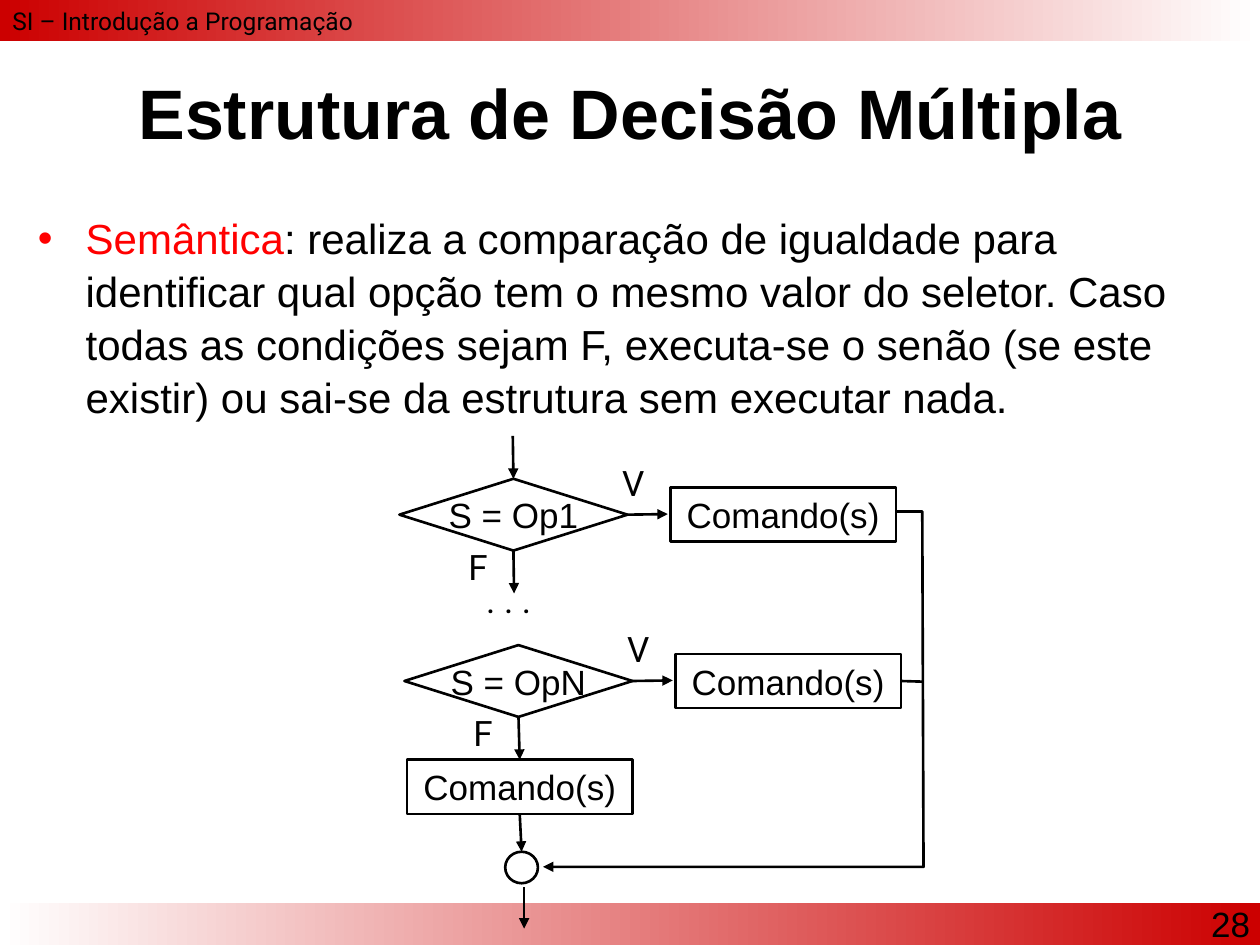
import dataclasses

import lxml.etree
import pptx
import pptx.dml.color
import pptx.enum.shapes
import pptx.enum.text
import pptx.oxml.ns
import pptx.util

Inches = pptx.util.Inches
Pt = pptx.util.Pt
RGB = pptx.dml.color.RGBColor.from_string
Shapes = pptx.enum.shapes.MSO_SHAPE
Align = pptx.enum.text.PP_ALIGN
Anchor = pptx.enum.text.MSO_ANCHOR
qn = pptx.oxml.ns.qn


@dataclasses.dataclass(frozen=True)
class Theme:
    ink: str = "000000"
    paper: str = "FFFFFF"
    accent: str = "FF0000"
    band: str = "CC0000"
    font: str = "Arial"
    label_font: str = "Roboto"
    title: float = 40
    body: float = 24
    diagram: float = 20
    header: float = 14
    line: float = 1.5


@dataclasses.dataclass(frozen=True)
class Box:
    left: float
    top: float
    width: float
    height: float

    def lengths(self):
        return [Inches(value) for value in dataclasses.astuple(self)]

    def inner(self, x, y, width, height):
        return Box(self.left + x, self.top + y, width, height)

    def point(self, x, y):
        return Inches(self.left + x), Inches(self.top + y)


THEME = Theme()


def apply(target, values):
    for name, value in values.items():
        setattr(target, name, value)


def place(shape, box):
    apply(shape, dict(zip(("left", "top", "width", "height"), box.lengths())))


def add_run(paragraph, text, size, font=THEME.font, color=THEME.ink, bold=False):
    run = paragraph.add_run()
    run.text = text
    apply(run.font, {"size": Pt(size), "name": font, "bold": bold})
    run.font.color.rgb = RGB(color)


def add_text(slide, box, text, size, font=THEME.font, align=Align.LEFT, wrap=True):
    shape = slide.shapes.add_textbox(*box.lengths())
    shape.text_frame.word_wrap = wrap
    paragraph = shape.text_frame.paragraphs[0]
    paragraph.alignment = align
    add_run(paragraph, text, size, font)


def set_outline(shape):
    shape.line.color.rgb = RGB(THEME.ink)
    shape.line.width = Pt(THEME.line)


def add_arrowhead(shape):
    line = shape.element.spPr.find(qn("a:ln"))
    lxml.etree.SubElement(line, qn("a:tailEnd"), type="triangle")


def add_node(slide, kind, box, text=""):
    shape = slide.shapes.add_shape(kind, *box.lengths())
    shape.shadow.inherit = False
    shape.fill.solid()
    shape.fill.fore_color.rgb = RGB(THEME.paper)
    set_outline(shape)
    if text:
        frame = shape.text_frame
        apply(frame, {"word_wrap": False, "vertical_anchor": Anchor.MIDDLE,
                      "margin_left": 0, "margin_right": 0,
                      "margin_top": 0, "margin_bottom": 0})
        frame.paragraphs[0].alignment = Align.CENTER
        add_run(frame.paragraphs[0], text, THEME.diagram)
    return shape


def add_link(slide, start, end, source=None, target=None, arrow=True):
    """Source and target are (shape, side) pairs that the line is joined to."""
    connector = slide.shapes.add_connector(
        pptx.enum.shapes.MSO_CONNECTOR.STRAIGHT, *start, *end)
    if source:
        connector.begin_connect(*source)
    if target:
        connector.end_connect(*target)
    set_outline(connector)
    if arrow:
        add_arrowhead(connector)
    lxml.etree.SubElement(connector.element.spPr, qn("a:effectLst"))


def add_band(slide, box, colors):
    band = slide.shapes.add_shape(Shapes.RECTANGLE, *box.lengths())
    band.shadow.inherit = False
    band.line.fill.background()
    band.fill.gradient()
    band.fill.gradient_angle = 0
    for stop, color in zip(band.fill.gradient_stops, colors):
        stop.color.rgb = RGB(color)


def add_header(slide, box):
    add_band(slide, box, (THEME.band, THEME.paper))
    add_text(slide, box.inner(0, 0, box.width, 0.5),
             "SI – Introdução a Programação", THEME.header, THEME.label_font)


def add_footer(slide, box):
    add_band(slide, box, (THEME.paper, THEME.band))
    add_text(slide, box.inner(8.67, -0.06, 1.35, 0.5), "28",
             THEME.diagram, align=Align.RIGHT)


def fill_title(slide, box):
    title = slide.shapes.title
    place(title, box)
    apply(title.text_frame, {"vertical_anchor": Anchor.MIDDLE,
                             "auto_size": pptx.enum.text.MSO_AUTO_SIZE.NONE})
    paragraph = title.text_frame.paragraphs[0]
    paragraph.alignment = Align.CENTER
    add_run(paragraph, "Estrutura de Decisão Múltipla", THEME.title, bold=True)


def fill_body(slide, box):
    body = slide.placeholders[1]
    place(body, box)
    body.text_frame.auto_size = pptx.enum.text.MSO_AUTO_SIZE.NONE
    paragraph = body.text_frame.paragraphs[0]
    apply(paragraph, {"space_before": Pt(4.8), "line_spacing": 1.05})
    add_run(paragraph, "Semântica", THEME.body, color=THEME.accent)
    add_run(paragraph, ": realiza a comparação de igualdade para identificar qual "
            "opção tem o mesmo valor do seletor. Caso todas as condições sejam F, "
            "executa-se o senão (se este existir) ou sai-se da estrutura sem "
            "executar nada.", THEME.body)
    # Hanging bullet
    properties = paragraph._p.get_or_add_pPr()
    properties.set("marL", str(Inches(0.38)))
    properties.set("indent", str(-Inches(0.38)))
    lxml.etree.SubElement(properties, qn("a:buChar"), char="•")


def add_test(slide, box, condition):
    """One decision with its command on the true branch."""
    decision = add_node(slide, Shapes.FLOWCHART_DECISION,
                        box.inner(0, 0, 1.81, 0.57), condition)
    command = add_node(slide, Shapes.FLOWCHART_PROCESS,
                       box.inner(2.15, 0.07, 1.79, 0.43), "Comando(s)")
    add_link(slide, box.point(1.81, 0.28), box.point(2.13, 0.28), (decision, 3))
    for text, x, y in (("V", 1.67, -0.19), ("F", 0.45, 0.48)):
        add_text(slide, box.inner(x, y, 0.36, 0.44), text,
                 THEME.diagram, THEME.label_font, wrap=False)
    return decision, command


def add_flowchart(slide, box):
    # Return line from the commands to the exit
    builder = slide.shapes.build_freeform(*box.point(3.94, 0.6))
    builder.add_line_segments(
        [box.point(4.15, 0.6), box.point(4.16, 3.42), box.point(1.14, 3.42)],
        close=False)
    exit_line = builder.convert_to_shape()
    exit_line.shadow.inherit = False
    exit_line.fill.background()
    set_outline(exit_line)
    add_arrowhead(exit_line)

    # Tests
    first, _ = add_test(slide, box.inner(0, 0.34, 3.94, 0.57), "S = Op1")
    last, last_command = add_test(slide, box.inner(0.04, 1.66, 3.94, 0.57), "S = OpN")
    add_link(slide, box.point(0.9, 0), box.point(0.9, 0.33), target=(first, 0))
    add_link(slide, box.point(0.9, 0.91), box.point(0.91, 1.25), (first, 2))
    add_text(slide, box.inner(0.59, 1.08, 0.72, 0.44), ". . .",
             THEME.diagram, THEME.label_font, wrap=False)
    add_link(slide, box.point(3.98, 1.95), box.point(4.15, 1.95),
             (last_command, 3), arrow=False)

    # Default command and exit
    default = add_node(slide, Shapes.FLOWCHART_PROCESS,
                       box.inner(0.06, 2.57, 1.79, 0.43), "Comando(s)")
    add_node(slide, Shapes.FLOWCHART_CONNECTOR, box.inner(0.84, 3.3, 0.26, 0.25))
    add_link(slide, box.point(0.95, 2.23), box.point(0.95, 2.57),
             (last, 2), (default, 0))
    add_link(slide, box.point(0.96, 3), box.point(0.97, 3.3), (default, 2))
    add_link(slide, box.point(0.99, 3.58), box.point(0.99, 3.91))


def main():
    presentation = pptx.Presentation()
    apply(presentation, {"slide_width": Inches(10), "slide_height": Inches(7.5)})
    slide = presentation.slides.add_slide(presentation.slide_layouts[1])
    add_footer(slide, Box(0, 7.17, 10, 0.33))
    add_header(slide, Box(0, 0, 10, 0.33))
    fill_title(slide, Box(0, 0.52, 10, 0.73))
    fill_body(slide, Box(0.2, 1.62, 9.53, 5.46))
    add_flowchart(slide, Box(3.17, 3.46, 4.16, 3.91))
    presentation.save("out.pptx")


if __name__ == "__main__":
    main()
